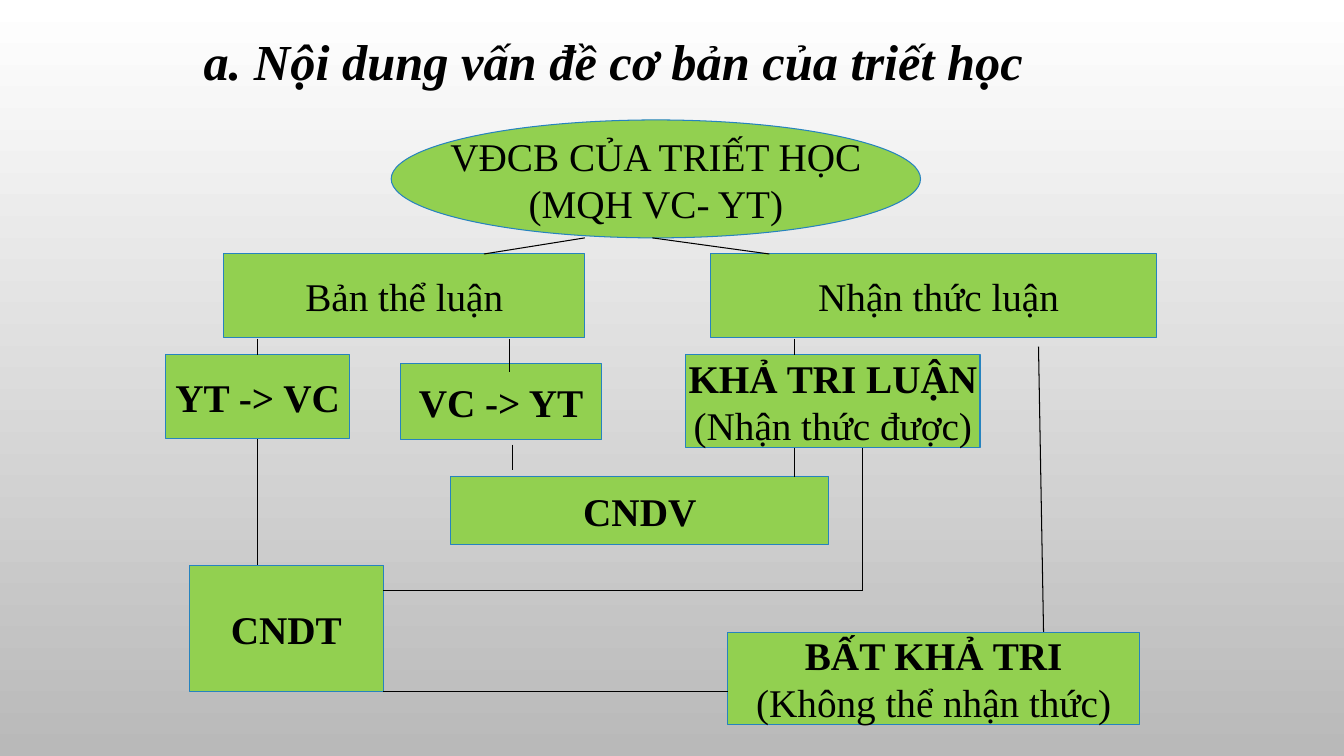
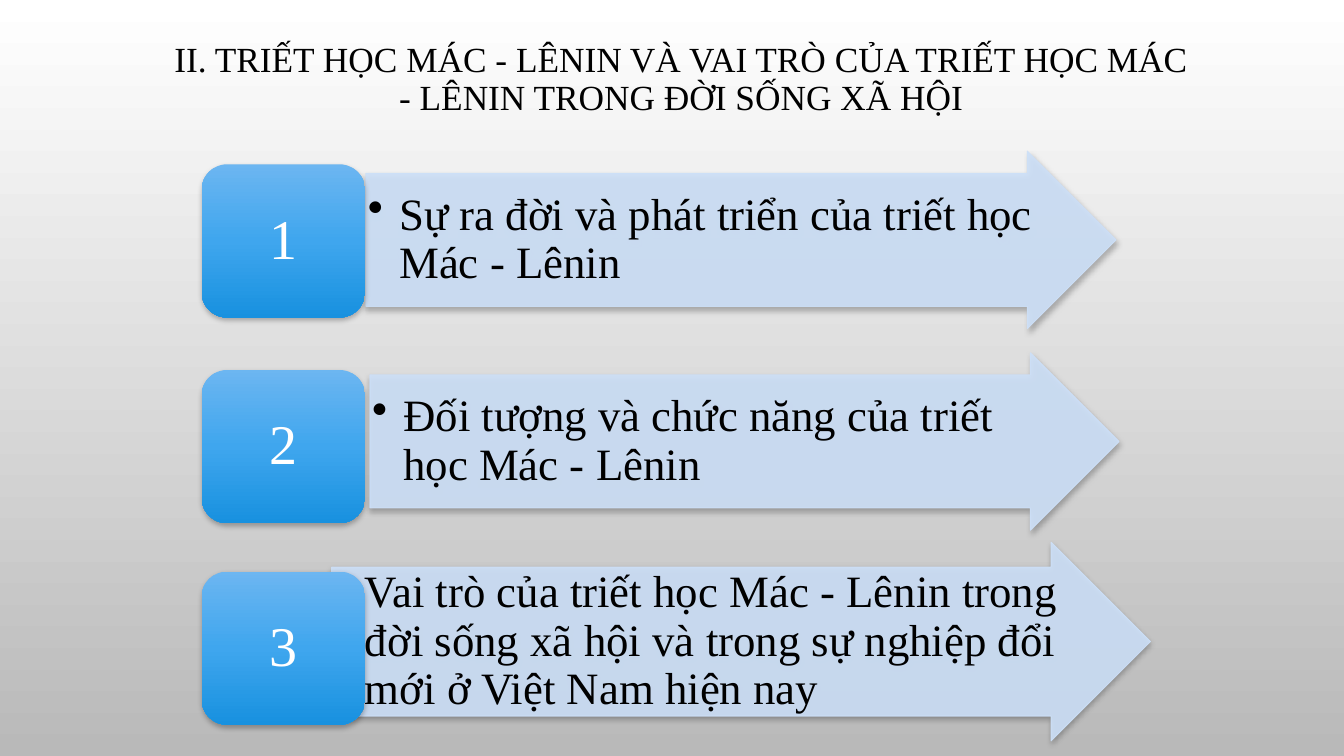
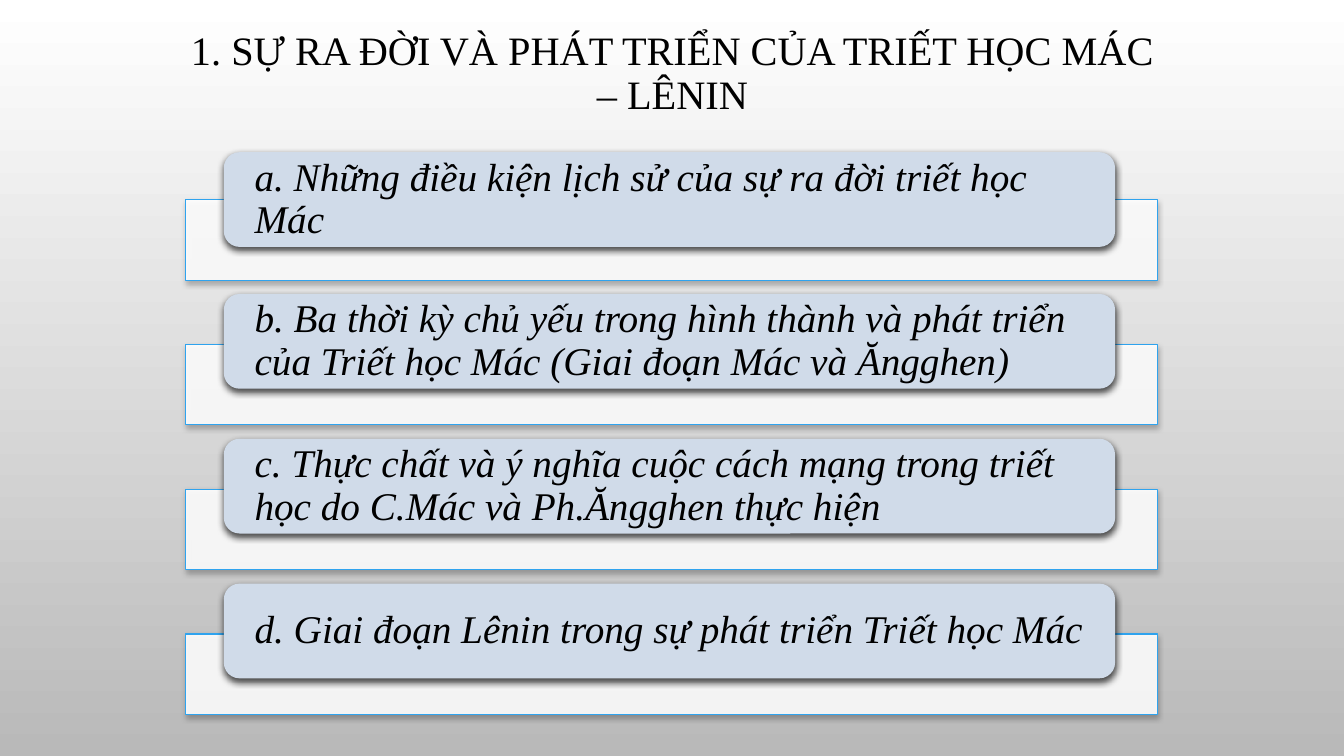
from dataclasses import dataclass

from copy import deepcopy
from lxml.etree import SubElement
from pptx import Presentation
from pptx.dml.color import RGBColor
from pptx.enum.shapes import MSO_CONNECTOR, MSO_SHAPE as Preset
from pptx.enum.text import MSO_ANCHOR as Anchor, PP_ALIGN as Align
from pptx.oxml.ns import qn
from pptx.util import Inches, Pt


@dataclass(frozen=True)
class Theme:
    font: str = "Times New Roman"
    ink: str = "000000"
    white: str = "FFFFFF"
    page_end: str = "B9B9B9"
    node: str = "92D050"
    node_line: str = "2683BF"
    arrow: str = "CDE0F8"
    tile: tuple = ("6CB6F1", "3FA6EE", "1891DF")
    card: str = "D0DBE9"
    bar_line: str = "2FA3EE"
    hairline: float = 0.75
    heading: float = 36
    section: float = 25.2
    subsection: float = 28.8
    body: float = 28
    point: float = 32
    number: float = 40
    tight: float = 0.9


THEME = Theme()


@dataclass(frozen=True)
class Box:
    left: float
    top: float
    width: float
    height: float

    def inner(self, left, top, width, height):
        return Box(self.left + left, self.top + top, width, height)

    def lengths(self):
        return [Inches(v) for v in (self.left, self.top, self.width, self.height)]


# Shared drawing helpers
def rgb(value):
    return RGBColor.from_string(value)


def paint_gradient(fill, first, last):
    fill.gradient()
    fill.gradient_angle = 270
    for stop, color in zip(fill.gradient_stops, (first, last)):
        stop.color.rgb = rgb(color)


def fade(holder, percent):
    color = holder.find(qn("a:solidFill"))[0]
    SubElement(color, qn("a:alpha"), val=str(percent * 1000))


def add_shadow(shape, percent, blur):
    effects = shape._element.spPr.find(qn("a:effectLst"))
    shadow = SubElement(effects, qn("a:outerShdw"), blurRad=str(Pt(blur)),
                        dist=str(Pt(2)), dir="5400000", rotWithShape="0")
    color = SubElement(shadow, qn("a:srgbClr"), val=THEME.ink)
    SubElement(color, qn("a:alpha"), val=str(percent * 1000))


def add_preset(page, preset, box, fill=None, line=None):
    shape = page.shapes.add_shape(preset, *box.lengths())
    shape.shadow.inherit = False
    if fill:
        shape.fill.solid()
        shape.fill.fore_color.rgb = rgb(fill)
    if line:
        shape.line.color.rgb = rgb(line)
        shape.line.width = Pt(THEME.hairline)
    else:
        shape.line.fill.background()
    return shape


def write(shape, lines, size, color=THEME.ink, align=Align.LEFT, spacing=None,
          insets=(0.1, 0.05), wrap=True, anchor=Anchor.MIDDLE, italic=False):
    """Write lines of (text, bold), one paragraph each."""
    frame = shape.text_frame
    frame.word_wrap = wrap
    frame.vertical_anchor = anchor
    frame.margin_left = frame.margin_right = Inches(insets[0])
    frame.margin_top = frame.margin_bottom = Inches(insets[1])
    for index, (text, bold) in enumerate(lines):
        para = frame.add_paragraph() if index else frame.paragraphs[0]
        para.alignment = align
        para.line_spacing = spacing
        span = para.add_run()
        span.text = text
        span.font.name = THEME.font
        span.font.size = Pt(size)
        span.font.color.rgb = rgb(color)
        span.font.bold = bold
        span.font.italic = italic


def add_bullet(para, indent):
    props = para._p.get_or_add_pPr()
    props.set("marL", str(Inches(indent)))
    props.set("indent", str(-Inches(indent)))
    SubElement(props, qn("a:buChar"), char="•")


def add_title(page, box, text, size):
    title = page.shapes.add_textbox(*box.lengths())
    write(title, [(text, False)], size, align=Align.CENTER, spacing=THEME.tight)


# Concept map: boxes joined by thin lines
NODES = [
    (Preset.RECTANGLE, (0.58, 1.33, 3.58, 0.83), [("Bản thể luận", False)]),
    (Preset.RECTANGLE, (5.41, 1.33, 4.42, 0.83), [(" Nhận thức luận", False)]),
    (Preset.RECTANGLE, (0, 2.33, 1.83, 0.83), [("YT -> VC", True)]),
    (Preset.RECTANGLE, (2.33, 2.42, 2, 0.75), [("VC -> YT", True)]),
    (Preset.OVAL, (2.24, 0, 5.25, 1.17),
     [("VĐCB CỦA TRIẾT HỌC", False), ("(MQH VC- YT)", False)]),
    (Preset.RECTANGLE, (5.16, 2.33, 2.92, 0.92),
     [("KHẢ TRI LUẬN", True), ("(Nhận thức được)", False)]),
    (Preset.RECTANGLE, (2.83, 3.54, 3.75, 0.67), [("CNDV", True)]),
    (Preset.RECTANGLE, (0.24, 4.42, 1.92, 1.25), [("CNDT", True)]),
    (Preset.RECTANGLE, (5.58, 5.08, 4.08, 0.92),
     [("BẤT KHẢ TRI", True), ("(Không thể nhận thức)", False)]),
]
LINKS = [
    (4.83, 1.17, 5.99, 1.33), (4.16, 1.17, 3.16, 1.33),
    (3.41, 2.17, 3.41, 2.5), (6.24, 2.17, 6.24, 2.33),
    (0.91, 2.17, 0.91, 2.33), (0.91, 3.17, 0.91, 4.42),
    (8.66, 2.25, 8.71, 5.08), (6.24, 3.25, 6.24, 3.54),
    (3.44, 3.22, 3.44, 3.47), (6.91, 3.25, 6.91, 4.67),
    (6.91, 4.67, 2.16, 4.67), (5.58, 5.67, 2.16, 5.67),
]


def draw_concept_map(page, area):
    for preset, place, lines in NODES:
        node = add_preset(page, preset, area.inner(*place), THEME.node, THEME.node_line)
        write(node, lines, THEME.body, align=Align.CENTER, wrap=False)
    for x1, y1, x2, y2 in LINKS:
        link = page.shapes.add_connector(
            MSO_CONNECTOR.STRAIGHT,
            Inches(area.left + x1), Inches(area.top + y1),
            Inches(area.left + x2), Inches(area.top + y2))
        link.line.color.rgb = rgb(THEME.ink)
        link.line.width = Pt(THEME.hairline)
        SubElement(link._element.spPr, qn("a:effectLst"))


# Numbered arrows: tile top, arrow place, text
POINTS = [
    (0.13, (1.63, 0, 7.44, 1.76), "Sự ra đời và phát triển của triết học Mác - Lênin"),
    (2.17, (1.67, 2, 7.43, 1.76), "Đối tượng và chức năng của triết học Mác - Lênin"),
    (4.17, (1.29, 3.88, 8.12, 1.97),
     "Vai trò của triết học Mác - Lênin trong đời sống xã hội và trong sự nghiệp "
     "đổi mới ở Việt Nam hiện nay"),
]


def draw_arrow(page, box, text):
    arrow = add_preset(page, Preset.RIGHT_ARROW, box, THEME.arrow, THEME.arrow)
    arrow.adjustments[0] = 0.75
    props = arrow._element.spPr
    fade(props, 90)
    fade(props.find(qn("a:ln")), 90)
    add_shadow(arrow, 28, 4)
    write(arrow, [(text, False)], THEME.point, spacing=THEME.tight, insets=(0.02, 0.02))
    add_bullet(arrow.text_frame.paragraphs[0], 0.31)


def draw_tile(page, box, number):
    tile = add_preset(page, Preset.ROUNDED_RECTANGLE, box)
    first, middle, last = THEME.tile
    paint_gradient(tile.fill, first, last)
    stops = tile._element.spPr.find(qn("a:gradFill")).find(qn("a:gsLst"))
    center = deepcopy(stops[0])
    center.set("pos", "50000")
    center[0].set("val", middle)
    stops.insert(1, center)
    add_shadow(tile, 28, 4)
    write(tile, [(str(number), False)], THEME.number, THEME.white, Align.CENTER,
          THEME.tight, (0.17, 0.08))


def draw_points(page, area):
    for number, (tile_top, place, text) in enumerate(POINTS, 1):
        draw_arrow(page, area.inner(*place), text)
        draw_tile(page, area.inner(0, tile_top, 1.62, 1.52), number)


# Outline: cards over wide bars; each card rises above its bar
CARDS = [
    (0.47, "a. Những điều kiện lịch sử của sự ra đời triết học Mác"),
    (0.5, "b. Ba thời kỳ chủ yếu trong hình thành và phát triển của Triết học Mác "
          "(Giai đoạn Mác và Ăngghen)"),
    (0.5, "c. Thực chất và ý nghĩa cuộc cách mạng trong triết học do C.Mác và "
          "Ph.Ăngghen thực hiện"),
    (0.5, "d. Giai đoạn Lênin trong sự phát triển Triết học Mác"),
]


def draw_outline(page, area):
    bar_height = 0.8
    pitch = (area.height - bar_height) / (len(CARDS) - 1)
    for row, (rise, text) in enumerate(CARDS):
        top = row * pitch
        bar = add_preset(page, Preset.RECTANGLE, area.inner(0, top, area.width, bar_height),
                         THEME.white, THEME.bar_line)
        fade(bar._element.spPr, 90)
        add_shadow(bar, 28, 4)
        card = add_preset(page, Preset.ROUNDED_RECTANGLE,
                          area.inner(0.38, top - rise, area.width - 0.8, 0.94), THEME.card)
        add_shadow(card, 69, 5)
        write(card, [(text, False)], THEME.body, spacing=THEME.tight,
              insets=(0.26, 0), italic=True)


# Slides
def build_map_slide(page):
    draw_concept_map(page, Box(1.64, 1.19, 9.83, 6))
    heading = page.shapes.add_textbox(*Box(1.92, 0.25, 9.75, 0.71).lengths())
    write(heading, [("a. Nội dung vấn đề cơ bản của triết học", True)], THEME.heading,
          anchor=Anchor.TOP, italic=True)


def build_points_slide(page):
    add_title(page, Box(1.63, 0.25, 10.25, 1.08),
              "II. TRIẾT HỌC MÁC - LÊNIN VÀ VAI TRÒ CỦA TRIẾT HỌC MÁC - LÊNIN "
              "TRONG ĐỜI SỐNG XÃ HỘI", THEME.section)
    draw_points(page, Box(2, 1.5, 9.41, 5.85))


def build_outline_slide(page):
    add_title(page, Box(1.67, 0.2, 10, 1.08),
              "1. SỰ RA ĐỜI VÀ PHÁT TRIỂN CỦA TRIẾT HỌC MÁC – LÊNIN", THEME.subsection)
    draw_outline(page, Box(1.84, 1.98, 9.64, 5.11))


def main():
    deck = Presentation()
    deck.slide_width, deck.slide_height = Inches(13.33), Inches(7.5)
    paint_gradient(deck.slide_master.background.fill, THEME.white, THEME.page_end)
    for build in (build_map_slide, build_points_slide, build_outline_slide):
        build(deck.slides.add_slide(deck.slide_layouts[6]))
    deck.save("out.pptx")


if __name__ == "__main__":
    main()
